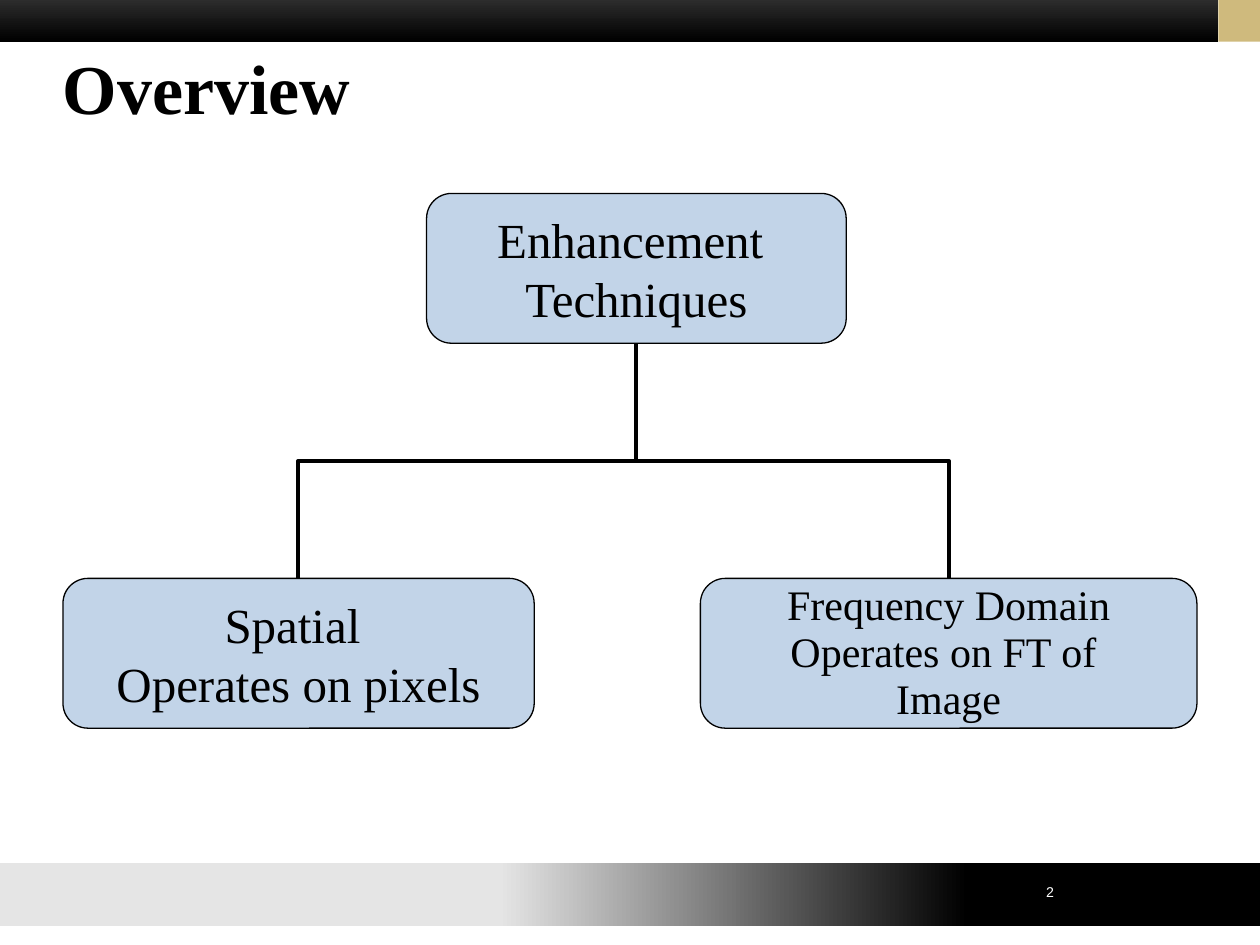
from pptx import Presentation, util as u
from pptx.dml.color import RGBColor
from pptx.enum import shapes, text
from pptx.oxml import parse_xml
from pptx.oxml.ns import nsdecls, qn
from lxml import etree

BLACK = RGBColor(0x00, 0x00, 0x00)
WHITE = RGBColor(0xFF, 0xFF, 0xFF)
DARK = RGBColor(0x33, 0x33, 0x33)
PALE = RGBColor(0xE5, 0xE5, 0xE5)
GOLD = RGBColor(0xCF, 0xBA, 0x7D)
BLUE = RGBColor(0x4F, 0x81, 0xBD)
SERIF = "Times New Roman"

prs = Presentation()
prs.slide_width, prs.slide_height = u.Cm(25.4), u.Cm(19.05)
s = prs.slides.add_slide(prs.slide_layouts[6])


def add_box(kind, x, y, w, h):
    sp = s.shapes.add_shape(kind, u.Cm(x), u.Cm(y), u.Cm(w), u.Cm(h))
    sp.shadow.inherit = False
    sp.line.fill.background()
    return sp


def write(tf, lines, size, align, font=SERIF, color=BLACK, bold=False):
    tf.text = "\n".join(lines)
    tf.vertical_anchor = text.MSO_ANCHOR.MIDDLE
    for p in tf.paragraphs:
        p.alignment = align
        for r in p.runs:
            r.font.size, r.font.name, r.font.bold = u.Pt(size), font, bold
            r.font.color.rgb = color


# Footer and header bars with gradients
RECT = shapes.MSO_SHAPE.RECTANGLE
for x, y, w, h, angle, stops in [
    (-0.43, 17.4, 26.24, 1.27, 0, [(0.4, PALE), (0.76, BLACK)]),
    (0, -0.13, 24.56, 0.97, 270, [(0, DARK), (1, BLACK)]),
]:
    sp = add_box(RECT, x, y, w, h)
    sp.fill.gradient()
    sp.fill.gradient_angle = angle
    for stop, (position, color) in zip(sp.fill.gradient_stops, stops):
        stop.position = position
        stop.color.rgb = color

# Gold corner
sp = add_box(RECT, 24.56, -0.13, 0.84, 0.97)
sp.fill.solid()
sp.fill.fore_color.rgb = GOLD

# Title
sp = s.shapes.add_textbox(u.Cm(1.27), u.Cm(0.78), u.Cm(22.86), u.Cm(1.93))
tf = sp.text_frame
tf.word_wrap = True
tf.margin_left = 0
write(tf, ["Overview"], 40, text.PP_ALIGN.LEFT, bold=True)

# Elbow connectors: drawn on their side, then turned to run vertically
root_x, root_bottom, child_top = 12.83, 6.93, 11.66
drop = child_top - root_bottom
for child_x, side, angle in [(19.13, -1, 270), (6.01, 1, 90)]:
    cx, cy = (child_x + root_x) / 2, (child_top + root_bottom) / 2
    dx, dy = side * drop / 2, abs(child_x - root_x) / 2
    sp = s.shapes.add_connector(
        shapes.MSO_CONNECTOR.ELBOW,
        u.Cm(cx + dx), u.Cm(cy + dy), u.Cm(cx - dx), u.Cm(cy - dy))
    sp.line.color.rgb = BLACK
    sp.line.width = u.Pt(2.25)
    spPr = sp._element.spPr
    spPr.find(qn("a:xfrm")).set("rot", str(angle * 60000))
    spPr.append(parse_xml(f"<a:effectLst {nsdecls('a')}/>"))

# Tree boxes; the three-line one is set tighter so that it stays inside
for x, y, w, size, spacing, lines in [
    (8.6, 3.9, 8.46, 28, 1.0, ["Enhancement ", "Techniques"]),
    (1.27, child_top, 9.5, 28, 1.0, ["Spatial ", "Operates on pixels"]),
    (14.12, child_top, 10.01, 24, 0.94,
     ["Frequency Domain", "Operates on FT of ", "Image"]),
]:
    sp = add_box(shapes.MSO_SHAPE.ROUNDED_RECTANGLE, x, y, w, 3.02)
    sp.fill.solid()
    sp.fill.fore_color.rgb = BLUE
    srgb = sp._element.spPr.find(qn("a:solidFill")).find(qn("a:srgbClr"))
    etree.SubElement(srgb, qn("a:alpha")).set("val", "34000")
    sp.line.color.rgb = BLACK
    sp.line.width = u.Pt(0.75)
    tf = sp.text_frame
    tf.word_wrap = False
    tf.margin_left = tf.margin_right = tf.margin_top = tf.margin_bottom = 0
    write(tf, lines, size, text.PP_ALIGN.CENTER)
    for p in tf.paragraphs:
        p.line_spacing = spacing

# Slide number
sp = s.shapes.add_textbox(u.Cm(18.21), u.Cm(17.35), u.Cm(5.92), u.Cm(1.27))
sp.text_frame.word_wrap = True
write(sp.text_frame, ["2"], 8.1, text.PP_ALIGN.CENTER, "Arial", WHITE)

prs.save("out.pptx")
